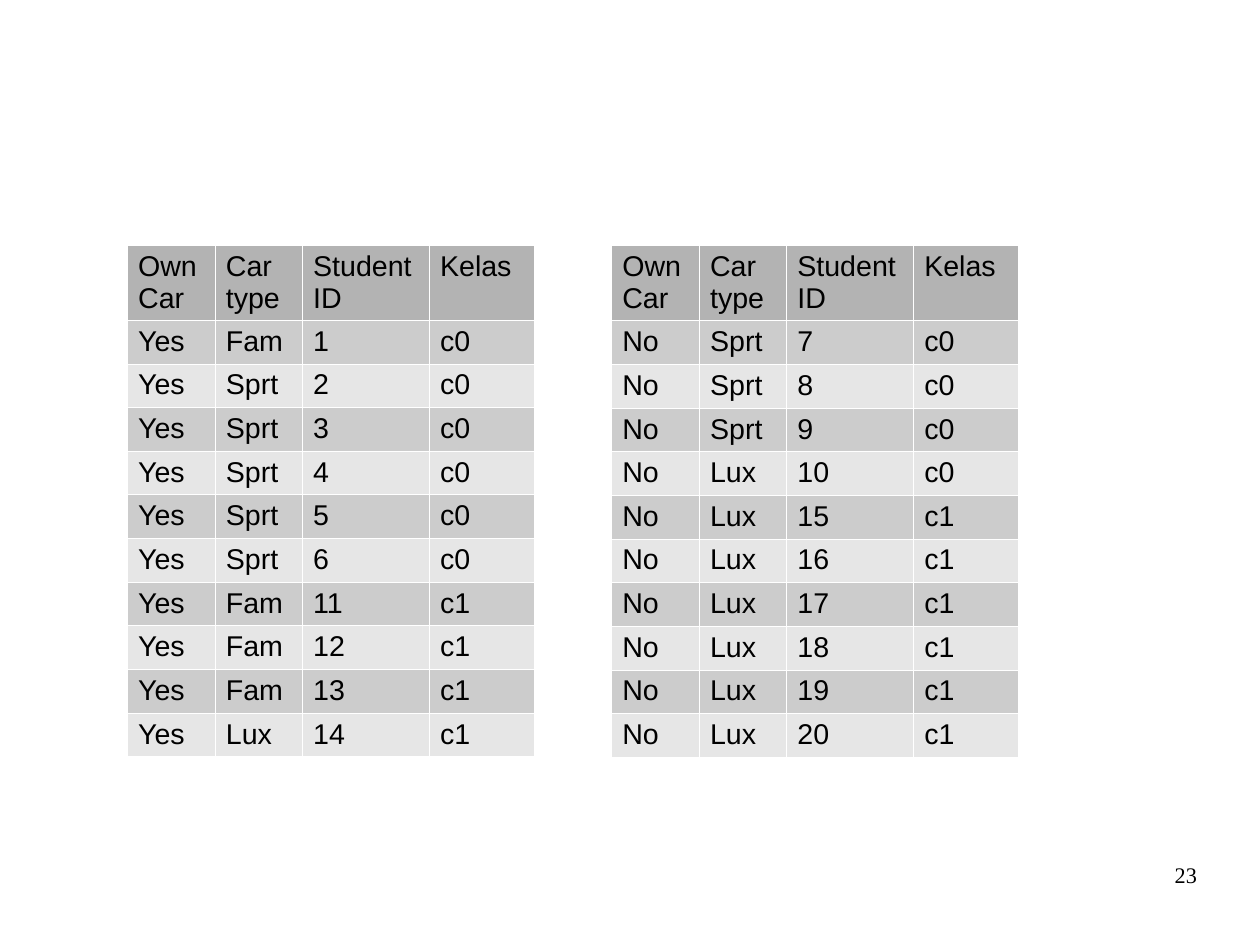
import dataclasses

import lxml.etree
import pptx
import pptx.dml.color
import pptx.enum.text
import pptx.oxml.ns
import pptx.slide
import pptx.table
import pptx.text.text
import pptx.util

Cm = pptx.util.Cm
Pt = pptx.util.Pt

COLORS = {
    "text": "000000",
    "header": "B3B3B3",
    "odd": "CCCCCC",
    "even": "E6E6E6",
    "border": "FFFFFF",
}
HEADINGS = ("Own Car", "Car type", "Student ID", "Kelas")
COLUMN_WIDTHS = (1.95, 1.94, 2.82, 2.33)
HEADER_HEIGHT = 1.67
ROW_HEIGHT = 0.97
BORDER_WIDTH = 0.06


@dataclasses.dataclass(frozen=True)
class OwnerTable:
    left: float
    top: float
    own_car: str
    students: tuple[tuple[str, int, str], ...]


OWNER_TABLES = (
    OwnerTable(13.58, 5.45, "No", (
        ("Sprt", 7, "c0"), ("Sprt", 8, "c0"), ("Sprt", 9, "c0"),
        ("Lux", 10, "c0"), ("Lux", 15, "c1"), ("Lux", 16, "c1"),
        ("Lux", 17, "c1"), ("Lux", 18, "c1"), ("Lux", 19, "c1"),
        ("Lux", 20, "c1"),
    )),
    OwnerTable(2.82, 5.44, "Yes", (
        ("Fam", 1, "c0"), ("Sprt", 2, "c0"), ("Sprt", 3, "c0"),
        ("Sprt", 4, "c0"), ("Sprt", 5, "c0"), ("Sprt", 6, "c0"),
        ("Fam", 11, "c1"), ("Fam", 12, "c1"), ("Fam", 13, "c1"),
        ("Lux", 14, "c1"),
    )),
)


def rgb(name: str) -> pptx.dml.color.RGBColor:
    return pptx.dml.color.RGBColor.from_string(COLORS[name])


def write(
    frame: pptx.text.text.TextFrame,
    text: str,
    *,
    size: float = 18,
    font: str = "Arial",
    align: pptx.enum.text.PP_ALIGN = pptx.enum.text.PP_ALIGN.LEFT,
) -> None:
    paragraph = frame.paragraphs[0]
    paragraph.alignment = align
    run = paragraph.add_run()
    run.text = text
    run.font.size = Pt(size)
    run.font.name = font
    run.font.color.rgb = rgb("text")


def add_borders(cell: pptx.table._Cell) -> None:
    qn = pptx.oxml.ns.qn
    properties = cell._tc.get_or_add_tcPr()
    for side in ("L", "R", "T", "B"):
        line = lxml.etree.SubElement(
            properties, qn(f"a:ln{side}"), w=str(Pt(BORDER_WIDTH))
        )
        fill = lxml.etree.SubElement(line, qn("a:solidFill"))
        lxml.etree.SubElement(fill, qn("a:srgbClr"), val=COLORS["border"])


def fill_cell(cell: pptx.table._Cell, text: str, color: str) -> None:
    add_borders(cell)
    cell.fill.solid()
    cell.fill.fore_color.rgb = rgb(color)
    cell.margin_left = cell.margin_right = Cm(0.25)
    cell.margin_top = cell.margin_bottom = Cm(0.12)
    write(cell.text_frame, text)


def add_owner_table(slide: pptx.slide.Slide, owner: OwnerTable) -> None:
    records = [HEADINGS] + [
        (owner.own_car, car_type, str(student_id), kelas)
        for car_type, student_id, kelas in owner.students
    ]
    heights = [HEADER_HEIGHT] + [ROW_HEIGHT] * len(owner.students)
    table = slide.shapes.add_table(
        len(records), len(HEADINGS), Cm(owner.left), Cm(owner.top),
        Cm(sum(COLUMN_WIDTHS)), Cm(sum(heights)),
    ).table
    table.first_row = False
    table.horz_banding = False
    for column, width in zip(table.columns, COLUMN_WIDTHS):
        column.width = Cm(width)
    for index, (record, height) in enumerate(zip(records, heights)):
        table.rows[index].height = Cm(height)
        color = "header" if index == 0 else "odd" if index % 2 else "even"
        for cell, text in zip(table.rows[index].cells, record):
            fill_cell(cell, text, color)


def add_page_number(slide: pptx.slide.Slide, number: str) -> None:
    frame = slide.shapes.add_textbox(
        Cm(20.07), Cm(19.13), Cm(6.53), Cm(1.45)
    ).text_frame
    frame.word_wrap = True
    frame.margin_left = frame.margin_right = 0
    frame.margin_top = frame.margin_bottom = 0
    write(frame, number, size=14, font="Times New Roman",
          align=pptx.enum.text.PP_ALIGN.RIGHT)


def main() -> None:
    """Build the slide of students grouped by car ownership."""
    presentation = pptx.Presentation()
    presentation.slide_width = Cm(28)
    presentation.slide_height = Cm(21)
    slide = presentation.slides.add_slide(presentation.slide_layouts[6])
    for owner in OWNER_TABLES:
        add_owner_table(slide, owner)
    add_page_number(slide, "23")
    presentation.save("out.pptx")


if __name__ == "__main__":
    main()
